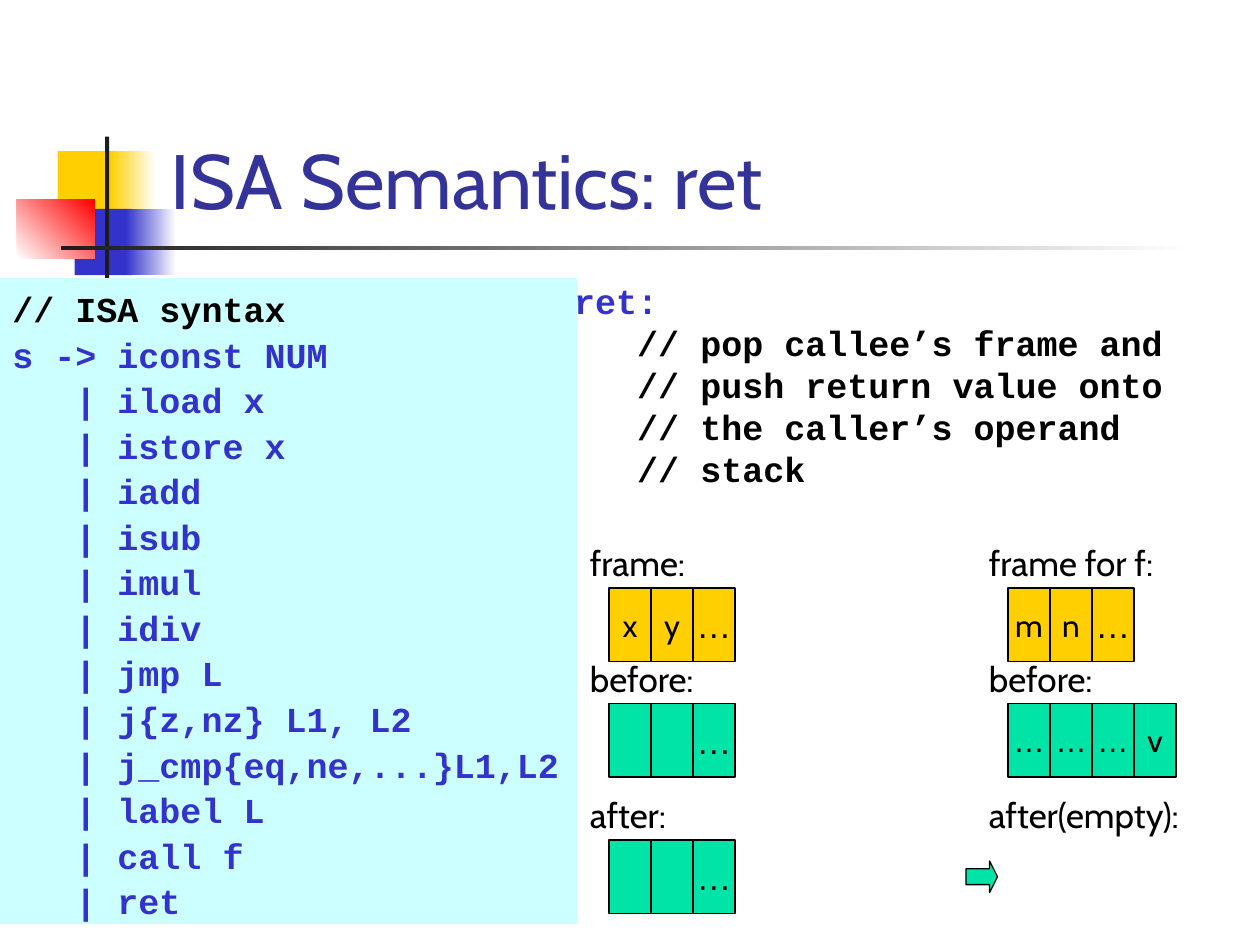
from pptx import Presentation
from pptx.dml.color import RGBColor
from pptx.enum.shapes import MSO_SHAPE as Preset
from pptx.enum.text import MSO_ANCHOR as Anchor, PP_ALIGN as Align
from pptx.util import Emu, Pt

EMU_PER_PX = 7620  # 120 px to the inch

WHITE = RGBColor(0xFF, 0xFF, 0xFF)
BLACK = RGBColor(0x00, 0x00, 0x00)
INK = RGBColor(0x1C, 0x1C, 0x1C)
YELLOW = RGBColor(0xFF, 0xCF, 0x01)
BLUE = RGBColor(0x33, 0x33, 0xCC)
RED = RGBColor(0xFF, 0x00, 0x00)
TITLE_BLUE = RGBColor(0x33, 0x33, 0x99)
GREEN = RGBColor(0x00, 0xE4, 0xA8)
CYAN = RGBColor(0xCC, 0xFF, 0xFF)

BODY_FONT, CODE_FONT, DOTS_FONT = "Cabin", "Courier New", "Arial"
DOTS = "…"
CELL_WIDTH, CELL_HEIGHT = 40, 70


def px(length):
    return Emu(length * EMU_PER_PX)


class SlideBuilder:
    def __init__(self, slide):
        self.slide = slide

    def shape(self, box, fill, preset=Preset.RECTANGLE, outlined=False):
        shape = self.slide.shapes.add_shape(preset, *map(px, box))
        shape.shadow.inherit = False
        shape.fill.solid()
        shape.fill.fore_color.rgb = fill
        if outlined:
            shape.line.color.rgb = BLACK
            shape.line.width = Pt(0.75)
        else:
            shape.line.fill.background()
        return shape

    def gradient(self, box, start, end, angle=0):
        shape = self.shape(box, start)
        shape.fill.gradient()
        shape.fill.gradient_angle = angle
        for stop, color in zip(shape.fill.gradient_stops, (start, end)):
            stop.color.rgb = color

    def run(self, paragraph, text, size, color=BLACK, font=BODY_FONT, bold=False):
        run = paragraph.add_run()
        run.text = text
        run.font.name = font
        run.font.size = Pt(size)
        run.font.bold = bold
        run.font.color.rgb = color

    def text(self, box, text, size, color=BLACK, anchor=Anchor.TOP):
        frame = self.slide.shapes.add_textbox(*map(px, box)).text_frame
        frame.word_wrap = True
        frame.vertical_anchor = anchor
        self.run(frame.paragraphs[0], text, size, color)

    def code(self, frame, lines, space_before=0):
        frame.word_wrap = True
        frame.vertical_anchor = Anchor.TOP
        for index, (text, color) in enumerate(lines):
            paragraph = frame.add_paragraph() if index else frame.paragraphs[0]
            paragraph.alignment = Align.LEFT
            paragraph.line_spacing = Pt(24)
            paragraph.space_before = Pt(space_before if index else 0)
            properties = paragraph._p.get_or_add_pPr()
            properties.set("marL", str(px(45)))
            properties.set("indent", str(-px(45)))
            self.run(paragraph, text, 20, color, CODE_FONT, bold=True)

    def cells(self, left, top, label, values, fill, dots_size=20):
        """A caption with a row of memory cells below it."""
        for index, value in enumerate(values):
            box = (left + 30 + index * CELL_WIDTH, top + 50, CELL_WIDTH, CELL_HEIGHT)
            frame = self.shape(box, fill, outlined=True).text_frame
            if value:
                frame.word_wrap = False
                frame.vertical_anchor = Anchor.MIDDLE
                paragraph = frame.paragraphs[0]
                paragraph.alignment = Align.CENTER
                if value == DOTS:
                    self.run(paragraph, value, dots_size, font=DOTS_FONT)
                else:
                    self.run(paragraph, value, 18)
        self.text((left, top, 240, 52), label, 20)


def main():
    presentation = Presentation()
    presentation.slide_width, presentation.slide_height = px(1200), px(900)
    slide = presentation.slides.add_slide(presentation.slide_layouts[6])
    builder = SlideBuilder(slide)

    # Corner ornament and rule
    builder.shape((55, 144, 58, 63), YELLOW)
    builder.gradient((105, 144, 43, 63), YELLOW, WHITE)
    builder.shape((71, 199, 55, 63), BLUE)
    builder.gradient((120, 199, 48, 63), BLUE, WHITE)
    builder.gradient((16, 190, 74, 56), WHITE, RED, angle=45)
    builder.shape((100, 130, 4, 138), INK)
    builder.gradient((58, 234, 1080, 4), INK, WHITE)

    # Title
    builder.text((151, 28, 1022, 192), "ISA Semantics: ret", 44, TITLE_BLUE, Anchor.BOTTOM)

    # Meaning of ret
    comments = ("pop callee’s frame and", "push return value onto",
                "the caller’s operand", "stack")
    meaning = slide.shapes.add_textbox(px(535), px(260), px(635), px(350))
    builder.code(meaning.text_frame,
                 [("ret:", BLUE)] + [(f"   // {comment}", BLACK) for comment in comments])

    # Frames and operand stacks of caller (left) and callee (right)
    caller, callee = 550, 930
    frame_top, before_top, after_top = 510, 620, 750
    builder.cells(caller, before_top, "before:", ("", "", DOTS), GREEN)
    builder.cells(caller, after_top, "after:", ("", "", DOTS), GREEN)
    builder.cells(caller, frame_top, "frame:", ("x", "y", DOTS), YELLOW)
    builder.cells(callee, frame_top, "frame for f:", ("m", "n", DOTS), YELLOW)
    builder.cells(callee, before_top, "before:", (DOTS, DOTS, DOTS, "v"), GREEN, dots_size=18)
    builder.cells(callee, after_top, "after(empty):", (), GREEN)

    # Arrow
    arrow = builder.shape((920, 820, 30, 30), GREEN, Preset.RIGHT_ARROW, outlined=True)
    arrow.adjustments[0], arrow.adjustments[1] = 0.5, 0.25

    # Syntax panel
    instructions = ("iload x", "istore x", "iadd", "isub", "imul", "idiv", "jmp L",
                    "j{z,nz} L1, L2", "j_cmp{eq,ne,...}L1,L2", "label L", "call f", "ret")
    panel = builder.shape((0, 265, 550, 615), CYAN).text_frame
    panel.margin_top = px(9)
    builder.code(panel,
                 [("// ISA syntax", BLACK), ("s -> iconst NUM", BLUE)]
                 + [(f"   | {instruction}", BLUE) for instruction in instructions],
                 space_before=2)

    presentation.save("out.pptx")


if __name__ == "__main__":
    main()
